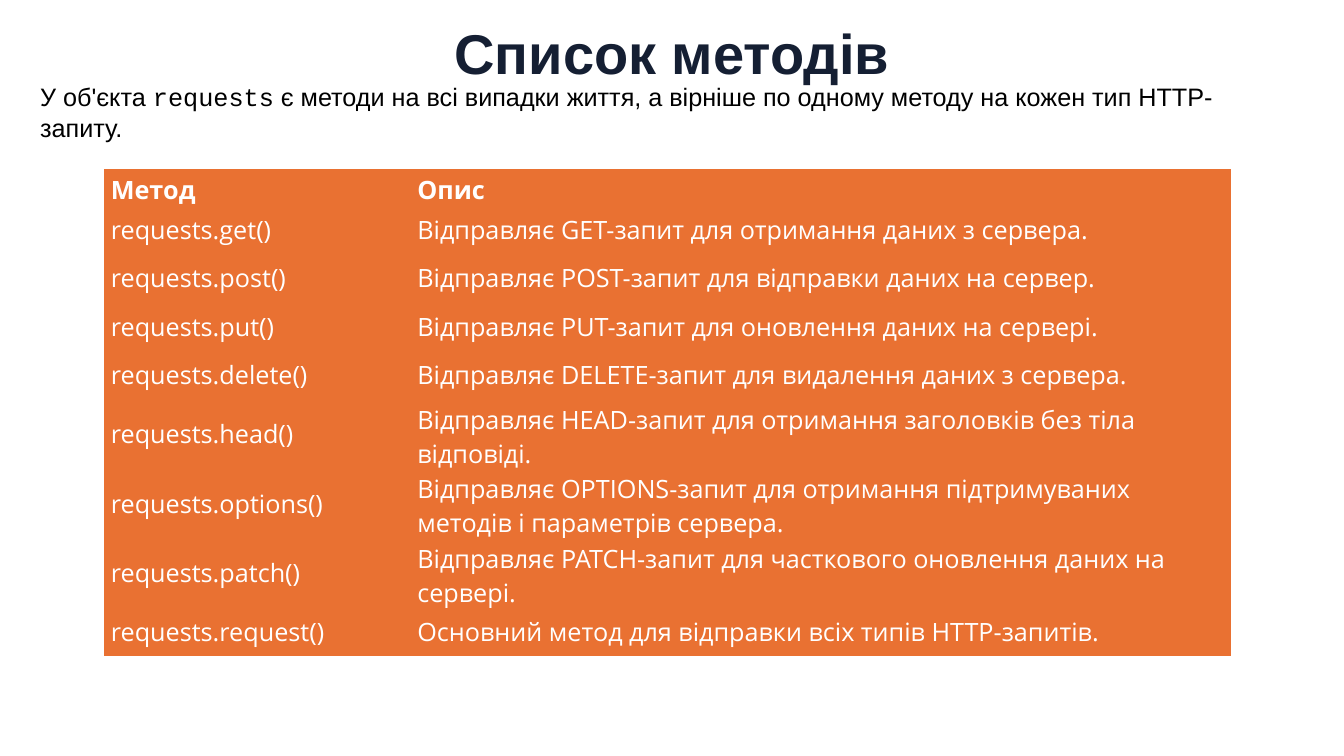
"""Build the slide that lists the methods of the requests object."""
from dataclasses import dataclass

import pptx
import pptx.dml.color
import pptx.enum.text
import pptx.oxml.ns
import pptx.util

PX = 9144
ORANGE = "E97132"
WHITE = "FFFFFF"
BLACK = "000000"
NAVY = "151F33"
NO_GRID_STYLE = "{2D5ABB26-0587-4C30-8999-92F81FD0307C}"


@dataclass(frozen=True)
class Box:
    """Place and size in px."""
    left: int
    top: int
    width: int
    height: int


@dataclass(frozen=True)
class Method:
    """One table row: a call, its description and the row height in px."""
    name: str
    description: str
    height: int = 48


TITLE_BOX = Box(0, 13, 1333, 77)
INTRO_BOX = Box(30, 91, 1251, 40)
TABLE_BOX = Box(103, 168, 1118, 475)
COLUMN_WIDTHS = (304, 814)

INTRO_RUNS = (
    ("У об'єкта ", "Arial"),
    ("requests", "Courier New"),
    (" є методи на всі випадки життя, а вірніше по одному методу на кожен тип HTTP-запиту.", "Arial"),
)

ROWS = (
    Method("Метод", "Опис", 28),
    Method("requests.get()", "Відправляє GET-запит для отримання даних з сервера."),
    Method("requests.post()", "Відправляє POST-запит для відправки даних на сервер."),
    Method("requests.put()", "Відправляє PUT-запит для оновлення даних на сервері."),
    Method("requests.delete()", "Відправляє DELETE-запит для видалення даних з сервера."),
    Method("requests.head()", "Відправляє HEAD-запит для отримання заголовків без тіла відповіді.", 69),
    Method("requests.options()",
           "Відправляє OPTIONS-запит для отримання підтримуваних методів і параметрів сервера.", 69),
    Method("requests.patch()", "Відправляє PATCH-запит для часткового оновлення даних на сервері.", 69),
    Method("requests.request()", "Основний метод для відправки всіх типів HTTP-запитів."),
)


def px(length: int) -> pptx.util.Emu:
    """Turn px into EMU."""
    return pptx.util.Emu(length * PX)


def place(box: Box) -> tuple:
    """Return the four lengths of a box in EMU."""
    return px(box.left), px(box.top), px(box.width), px(box.height)


def rgb(color: str) -> pptx.dml.color.RGBColor:
    """Turn a hex string into a colour."""
    return pptx.dml.color.RGBColor.from_string(color)


def format_run(run, font: str, size: int, color: str, bold: bool = False) -> None:
    """Set the font of a run."""
    run.font.name = font
    run.font.size = pptx.util.Pt(size)
    run.font.bold = bold
    run.font.color.rgb = rgb(color)


def add_title(slide) -> None:
    """Add the centred title."""
    text_frame = slide.shapes.add_textbox(*place(TITLE_BOX)).text_frame
    text_frame.word_wrap = True
    text_frame.text = "Список методів"
    paragraph = text_frame.paragraphs[0]
    paragraph.alignment = pptx.enum.text.PP_ALIGN.CENTER
    format_run(paragraph.runs[0], "Arial", 40, NAVY, bold=True)


def add_intro(slide) -> None:
    """Add the sentence under the title."""
    text_frame = slide.shapes.add_textbox(*place(INTRO_BOX)).text_frame
    text_frame.word_wrap = True
    text_frame.vertical_anchor = pptx.enum.text.MSO_ANCHOR.MIDDLE
    for text, font in INTRO_RUNS:
        run = text_frame.paragraphs[0].add_run()
        run.text = text
        format_run(run, font, 18, BLACK)


def fill_cell(cell, text: str, bold: bool) -> None:
    """Write and colour one table cell."""
    cell.fill.solid()
    cell.fill.fore_color.rgb = rgb(ORANGE)
    cell.vertical_anchor = pptx.enum.text.MSO_ANCHOR.MIDDLE
    cell.margin_left = cell.margin_right = px(7)
    cell.margin_top = cell.margin_bottom = px(3)
    cell.text_frame.text = text
    format_run(cell.text_frame.paragraphs[0].runs[0], "Open Sans", 18, WHITE, bold)


def add_method_table(slide) -> None:
    """Add the table of methods without grid lines."""
    frame = slide.shapes.add_table(len(ROWS), len(COLUMN_WIDTHS), *place(TABLE_BOX))
    for style in frame.element.iter(pptx.oxml.ns.qn("a:tableStyleId")):
        style.text = NO_GRID_STYLE
    table = frame.table
    table.horz_banding = False
    for column, width in zip(table.columns, COLUMN_WIDTHS):
        column.width = px(width)
    for index, method in enumerate(ROWS):
        table.rows[index].height = px(method.height)
        for cell, text in zip(table.rows[index].cells, (method.name, method.description)):
            fill_cell(cell, text, bold=index == 0)


def main() -> None:
    """Build and save the presentation."""
    presentation = pptx.Presentation()
    presentation.slide_width = px(1333)
    presentation.slide_height = px(750)
    slide = presentation.slides.add_slide(presentation.slide_layouts[6])
    add_title(slide)
    add_intro(slide)
    add_method_table(slide)
    presentation.save("out.pptx")


if __name__ == "__main__":
    main()
